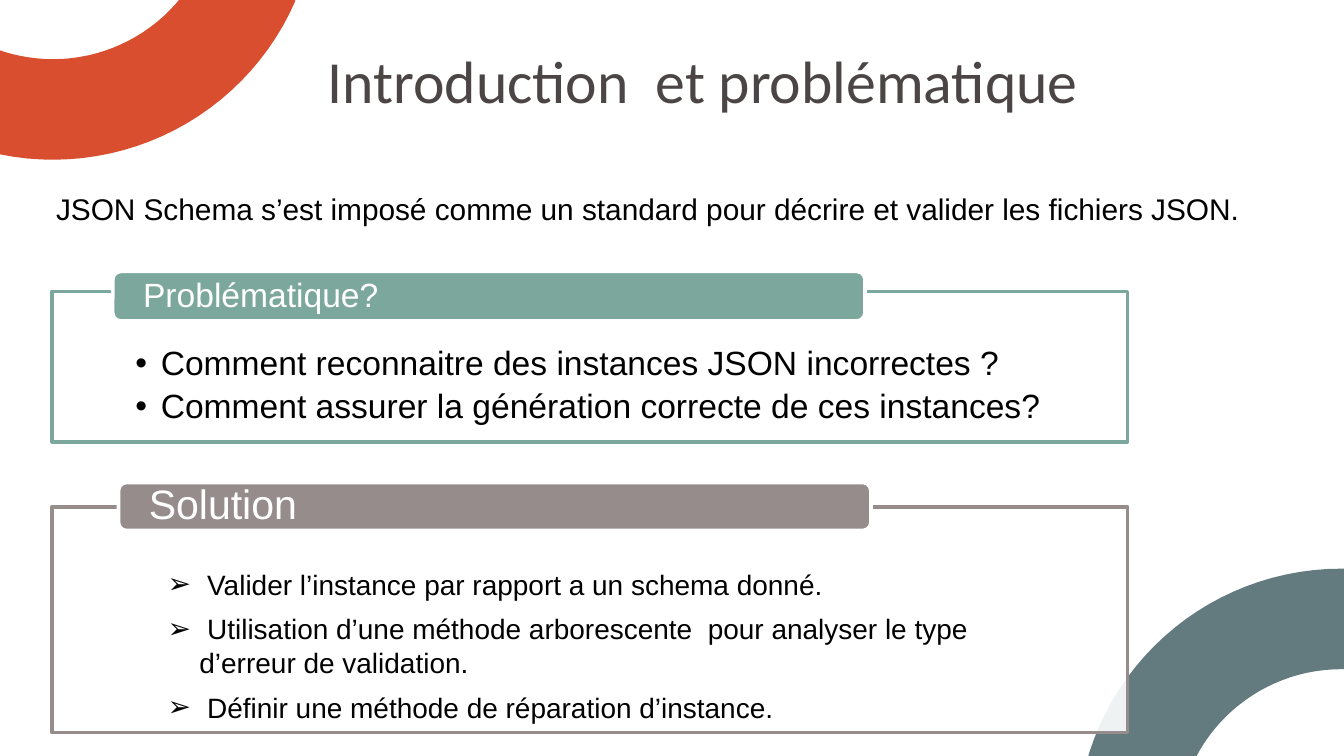
from math import cos, radians, sin

from lxml import etree
from pptx import Presentation
from pptx.dml.color import RGBColor
from pptx.enum.shapes import MSO_SHAPE as SHAPE
from pptx.enum.text import MSO_ANCHOR as ANCHOR, PP_ALIGN as ALIGN
from pptx.oxml.ns import qn
from pptx.util import Cm, Pt


def paint(sp, fill, line=None):
    sp.shadow.inherit = False
    sp.fill.solid()
    sp.fill.fore_color.rgb = RGBColor.from_string(fill)
    if line:
        sp.line.color.rgb = RGBColor.from_string(line)
        sp.line.width = Pt(2)
    else:
        sp.line.fill.background()


def add_run(p, text, size, color, font="Arial"):
    p.alignment = ALIGN.LEFT
    r = p.add_run()
    r.text = text
    r.font.size = Pt(size)
    r.font.name = font
    r.font.color.rgb = RGBColor.from_string(color)


prs = Presentation()
prs.slide_width, prs.slide_height = Cm(25.4), Cm(14.29)
s = prs.slides.add_slide(prs.slide_layouts[6])

# Corner rings: quarter of a ring, given by its centre and start angle
OUTER, INNER = 5, 3.1
STEP = 3
for cx, cy, start, color in [(1, -1.98, 23.5, "D84E2E"),
                             (25.35, 15.75, 195, "637B7F")]:
    angles = [radians(start + a) for a in range(0, 91, STEP)]
    points = [(Cm(cx + OUTER * cos(a)), Cm(cy + OUTER * sin(a))) for a in angles]
    points += [(Cm(cx + INNER * cos(a)), Cm(cy + INNER * sin(a)))
               for a in reversed(angles)]
    fb = s.shapes.build_freeform(*points[0])
    fb.add_line_segments(points[1:], close=True)
    paint(fb.convert_to_shape(), color)

# Title and opening sentence
for x, y, w, h, text, size, color, font in [
    (5.94, 0.71, 20.98, 1.63, "Introduction  et problématique", 32, "4C4545", "Calibri"),
    (0.81, 3.48, 23.77, 0.94, "JSON Schema s’est imposé comme un standard pour décrire "
     "et valider les fichiers JSON.", 16, "000000", "Arial"),
]:
    tf = s.shapes.add_textbox(Cm(x), Cm(y), Cm(w), Cm(h)).text_frame
    tf.word_wrap = True
    add_run(tf.paragraphs[0], text, size, color, font)

# Framed lists, each with a heading tab over its top edge
sections = [
    dict(color="7BA79D", top=5.51, height=2.84, inset=1.04,
         tab=(2.13, 5.13, 0.94), heading="Problématique?", heading_size=18,
         bullet="•", margin=0.48, hang=0.48, size=18, spacing=0.9, after=3.5,
         items=["Comment reconnaitre des instances JSON incorrectes ?",
                "Comment assurer la génération correcte de ces instances?"]),
    dict(color="968C8C", top=9.58, height=4.27, inset=1.14,
         tab=(2.24, 9.12, 0.91), heading="Solution", heading_size=22,
         bullet="➢", margin=1.21, hang=0.6, size=15, spacing=1, after=6,
         items=[" Valider l’instance par rapport a un schema donné.",
                " Utilisation d’une méthode arborescente  pour analyser le type "
                "d’erreur de validation.",
                " Définir une méthode de réparation d’instance."]),
]
for sec in sections:
    frame = s.shapes.add_shape(SHAPE.RECTANGLE, Cm(0.99), Cm(sec["top"]),
                               Cm(20.32), Cm(sec["height"]))
    paint(frame, "FFFFFF", sec["color"])
    white = frame.fill._xPr.find(qn("a:solidFill"))[0]
    etree.SubElement(white, qn("a:alpha"), val="90000")
    tf = frame.text_frame
    tf.word_wrap = True
    tf.vertical_anchor = ANCHOR.TOP
    tf.margin_left = tf.margin_right = Cm(1.57)
    tf.margin_top, tf.margin_bottom = Cm(sec["inset"]), Cm(0)
    for i, item in enumerate(sec["items"]):
        p = tf.add_paragraph() if i else tf.paragraphs[0]
        add_run(p, item, sec["size"], "000000")
        p.line_spacing = sec["spacing"]
        p.space_after = Pt(sec["after"])
        pPr = p._p.get_or_add_pPr()
        pPr.set("marL", str(Cm(sec["margin"])))
        pPr.set("indent", str(-Cm(sec["hang"])))
        etree.SubElement(pPr, qn("a:buFont"), typeface="Arial")
        etree.SubElement(pPr, qn("a:buChar"), char=sec["bullet"])

    x, y, h = sec["tab"]
    tab = s.shapes.add_shape(SHAPE.ROUNDED_RECTANGLE, Cm(x), Cm(y), Cm(14.22), Cm(h))
    paint(tab, sec["color"], "FFFFFF")
    tf = tab.text_frame
    tf.word_wrap = True
    tf.vertical_anchor = ANCHOR.MIDDLE
    tf.margin_left = tf.margin_right = Cm(0.53)
    tf.margin_top = tf.margin_bottom = Cm(0)
    p = tf.paragraphs[0]
    p.line_spacing = 0.9
    add_run(p, sec["heading"], sec["heading_size"], "FFFFFF")

prs.save("out.pptx")
